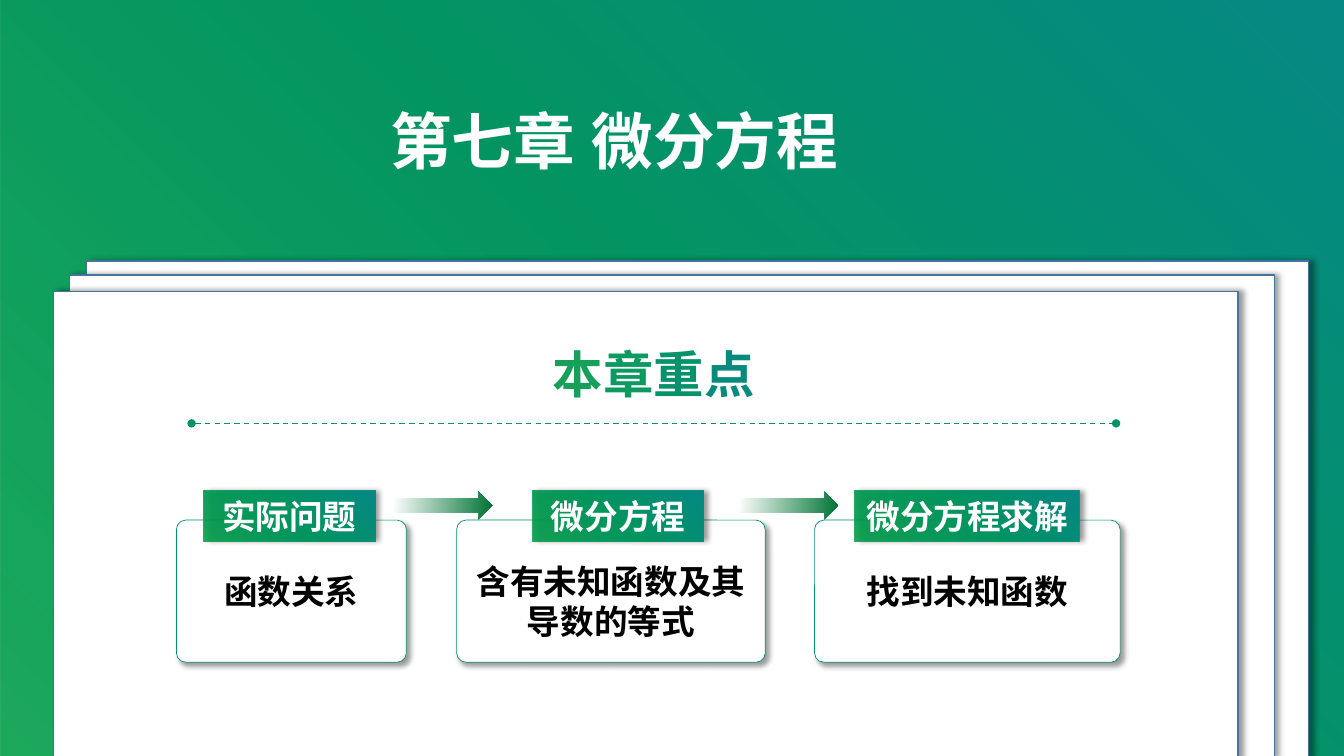
from lxml import etree
from pptx import Presentation
from pptx.dml.color import RGBColor
from pptx.enum.dml import MSO_LINE
from pptx.enum.shapes import MSO_CONNECTOR, MSO_SHAPE
from pptx.enum.text import MSO_ANCHOR, PP_ALIGN
from pptx.oxml import parse_xml
from pptx.oxml.ns import nsdecls, qn
from pptx.util import Inches, Pt

WHITE = RGBColor(0xFF, 0xFF, 0xFF)
BLACK = RGBColor(0, 0, 0)
BLUE = RGBColor(0x43, 0x73, 0x9E)
GREEN = RGBColor(0x04, 0x92, 0x6A)
HEADING_COLORS = [RGBColor(0x16, 0xA0, 0x5A), RGBColor(0x0C, 0x9A, 0x60),
                  RGBColor(0x06, 0x92, 0x6C), RGBColor(0x06, 0x8B, 0x7C)]
LATIN, CHINESE = "Calibri", "Noto Sans CJK SC"
BRAND_STOPS = [(0, "009E47", 88), (55, "039463", 100), (100, "068885", 100)]
ARROW_STOPS = [(4, "FFFFFF", 100), (100, "007434", 100)]
RADIAL = ('<a:path path="circle"><a:fillToRect t="100000" r="100000"/></a:path>'
          '<a:tileRect/>')
LINEAR = '<a:lin ang="300000" scaled="0"/>'


def add_gradient(shape, stops, direction):
    """Fill a shape with colour stops of position, colour and opacity."""
    shape.fill.background()
    marks = "".join(
        f'<a:gs pos="{place * 1000}"><a:srgbClr val="{color}">'
        f'<a:alpha val="{opacity * 1000}"/></a:srgbClr></a:gs>'
        for place, color, opacity in stops)
    properties = shape._element.spPr
    properties.replace(properties.find(qn("a:noFill")), parse_xml(
        f'<a:gradFill {nsdecls("a")} rotWithShape="1"><a:gsLst>{marks}</a:gsLst>'
        f'{direction}</a:gradFill>'))


def add_shadow(shape, angle=0):
    """Give a shape a soft offset shadow."""
    shape.shadow.inherit = False
    effects = shape._element.spPr.find(qn("a:effectLst"))
    effects.append(parse_xml(
        f'<a:outerShdw {nsdecls("a")} blurRad="50800" dist="38100" '
        f'dir="{angle * 60000}" algn="l" rotWithShape="0"><a:srgbClr val="000000">'
        '<a:alpha val="40000"/></a:srgbClr></a:outerShdw>'))


def add_box(page, kind, box, line=None, width=1):
    """Add a white preset shape, with a line if a colour is given."""
    shape = page.shapes.add_shape(kind, *map(Inches, box))
    shape.shadow.inherit = False
    shape.fill.solid()
    shape.fill.fore_color.rgb = WHITE
    if line is None:
        shape.line.fill.background()
    else:
        shape.line.color.rgb = line
        shape.line.width = Pt(width)
    return shape


def write(shape, text, size, color, font=LATIN, align=PP_ALIGN.CENTER):
    """Write bold text, vertically centred, into a shape."""
    frame = shape.text_frame
    frame.text = text
    frame.vertical_anchor = MSO_ANCHOR.MIDDLE
    frame.word_wrap = True
    for para in frame.paragraphs:
        para.alignment = align
        for span in para.runs:
            span.font.size = Pt(size)
            span.font.bold = True
            span.font.name = font
            span.font.color.rgb = color


def add_backdrop(page, box):
    """Cover the page with the green gradient."""
    backdrop = add_box(page, MSO_SHAPE.RECTANGLE, box)
    add_gradient(backdrop, BRAND_STOPS, RADIAL)
    backdrop._element.spPr.find(qn("a:xfrm")).set("flipH", "1")


def add_sheets(page, boxes):
    """Stack sheets of paper from back to front."""
    for box in boxes:
        add_shadow(add_box(page, MSO_SHAPE.RECTANGLE, box, BLUE))


def add_title(page, box):
    """Write the chapter number and name, parted by a tab stop."""
    title = page.shapes.add_textbox(*map(Inches, box))
    properties = title.text_frame.paragraphs[0]._p.get_or_add_pPr()
    stops = etree.SubElement(properties, qn("a:tabLst"))
    etree.SubElement(stops, qn("a:tab"), pos=str(Inches(2.25)), algn="l")
    write(title, "第七章\t微分方程", 44, WHITE, CHINESE, PP_ALIGN.LEFT)


def add_heading(page, box):
    """Write the section heading over a dashed rule with round ends."""
    left, top, width, height = box
    heading = page.shapes.add_textbox(*map(Inches, box))
    para = heading.text_frame.paragraphs[0]
    para.alignment = PP_ALIGN.CENTER
    heading.text_frame.word_wrap = True
    heading.text_frame.vertical_anchor = MSO_ANCHOR.MIDDLE
    for letter, color in zip("本章重点", HEADING_COLORS):
        span = para.add_run()
        span.text = letter
        span.font.size = Pt(36)
        span.font.bold = True
        span.font.name = CHINESE
        span.font.color.rgb = color
    level = Inches(top + height)
    rule = page.shapes.add_connector(
        MSO_CONNECTOR.STRAIGHT, Inches(left), level, Inches(left + width), level)
    rule.line.color.rgb = GREEN
    rule.line.width = Pt(1)
    rule.line.dash_style = MSO_LINE.DASH
    outline = rule._element.spPr.find(qn("a:ln"))
    for end in ("a:headEnd", "a:tailEnd"):
        etree.SubElement(outline, qn(end), type="oval")
    etree.SubElement(rule._element.spPr, qn("a:effectLst"))


def add_card(page, box, label, label_left, label_width, body, drop=0):
    """Draw a rounded card with a label on its top edge and body text."""
    left, top, width, height = box
    card = add_box(page, MSO_SHAPE.ROUNDED_RECTANGLE, box, GREEN, 0.5)
    card.adjustments[0] = 0.065
    add_shadow(card, 45)
    tag = add_box(page, MSO_SHAPE.RECTANGLE,
                  (left + label_left, top - 0.29, label_width, 0.5))
    add_gradient(tag, BRAND_STOPS, RADIAL)
    add_shadow(tag)
    write(tag, label, 24, WHITE)
    text = page.shapes.add_textbox(
        *map(Inches, (left, top + drop, width, height)))
    write(text, body, 24, BLACK)


def add_arrow(page, box):
    """Draw a fading arrow between two cards."""
    arrow = add_box(page, MSO_SHAPE.RIGHT_ARROW, box)
    add_gradient(arrow, ARROW_STOPS, LINEAR)


def main():
    """Build and save the chapter slide."""
    deck = Presentation()
    deck.slide_width, deck.slide_height = Inches(13.33), Inches(7.5)
    page = deck.slides.add_slide(deck.slide_layouts[6])
    add_backdrop(page, (0, 0, 13.33, 7.52))
    add_sheets(page, [(0.86, 2.59, 12.12, 4.93), (0.69, 2.73, 11.95, 4.78),
                      (0.53, 2.89, 11.75, 4.63)])
    add_heading(page, (1.9, 3.2, 9.17, 1))
    top, height = 5.16, 1.41
    add_card(page, (1.75, top, 2.28, height), "实际问题", 0.27, 1.7, "函数关系")
    add_card(page, (4.53, top, 3.06, height), "微分方程", 0.75, 1.7,
             "含有未知函数及其\n导数的等式", 0.1)
    add_card(page, (8.08, top, 3.03, height), "微分方程求解", 0.4, 2.23, "找到未知函数")
    add_title(page, (3.77, 0.97, 6.49, 0.84))
    for left in (3.86, 7.29):
        add_arrow(page, (left, 4.88, 1.02, 0.27))
    deck.save("out.pptx")


if __name__ == "__main__":
    main()
